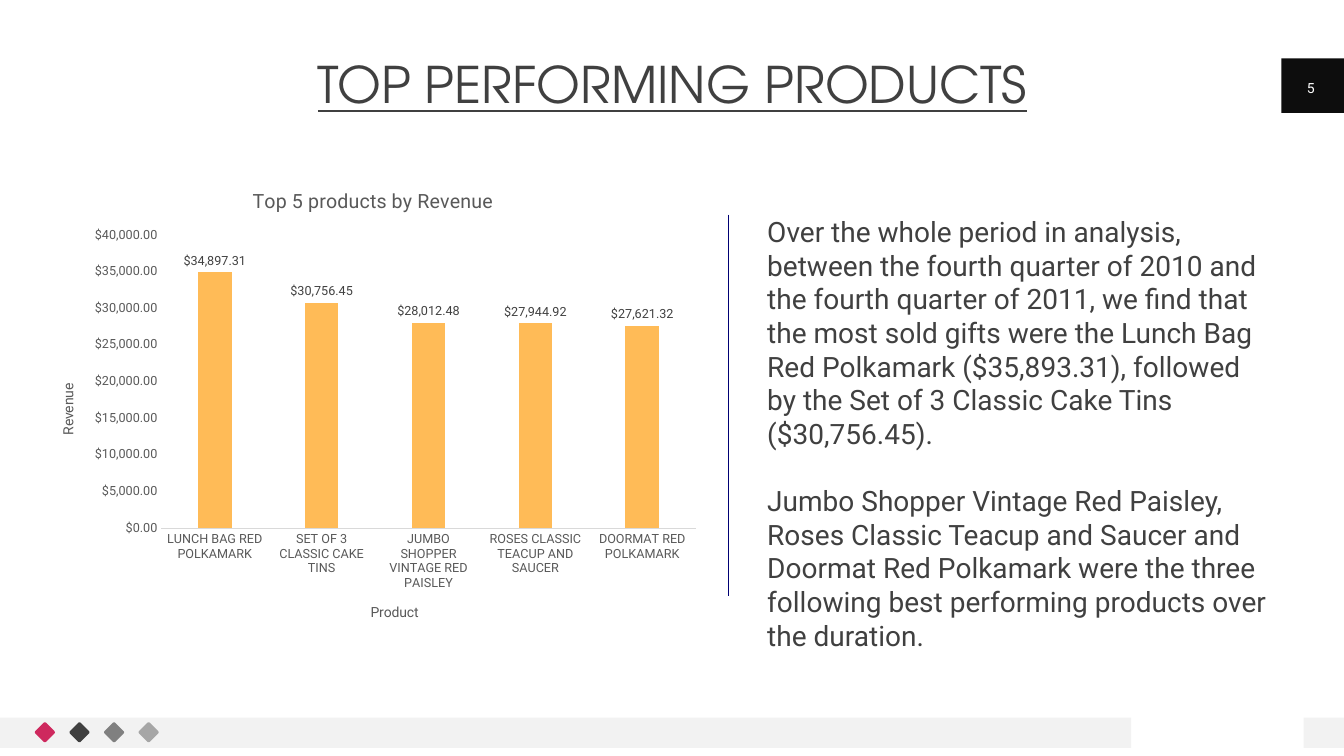
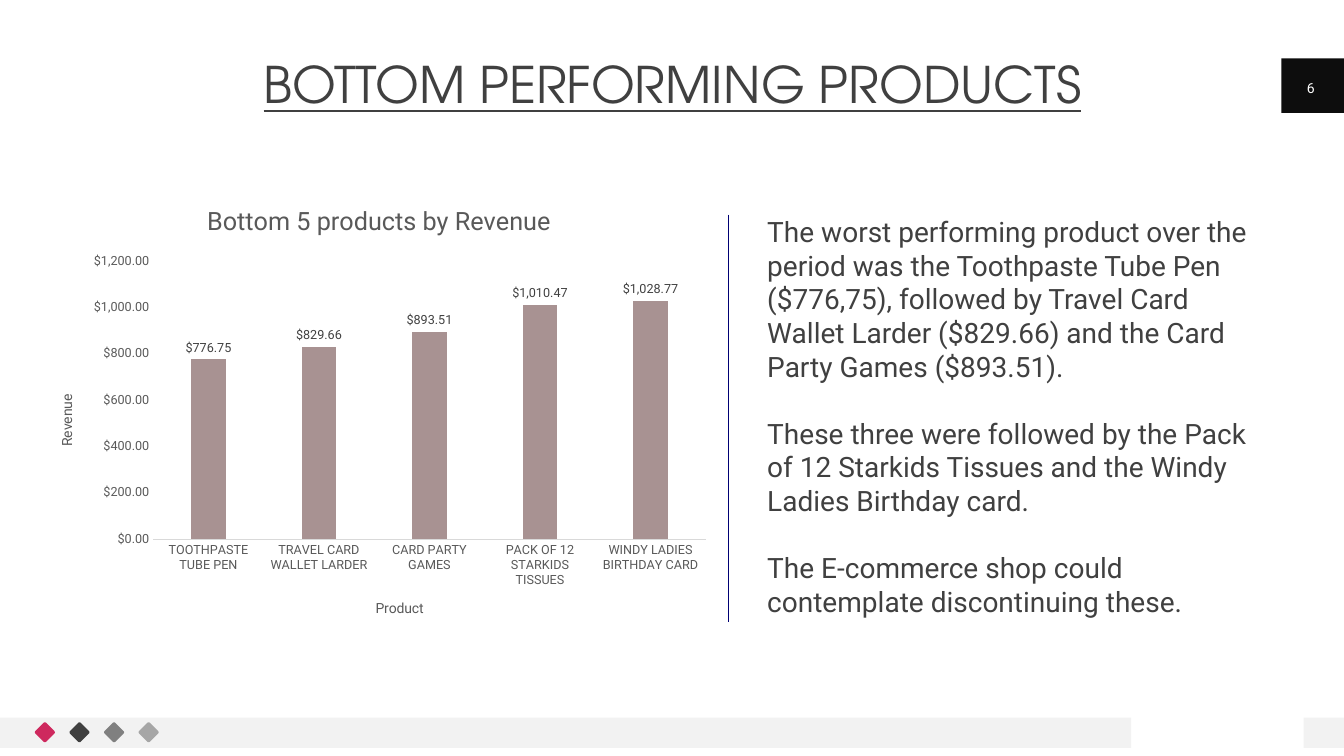
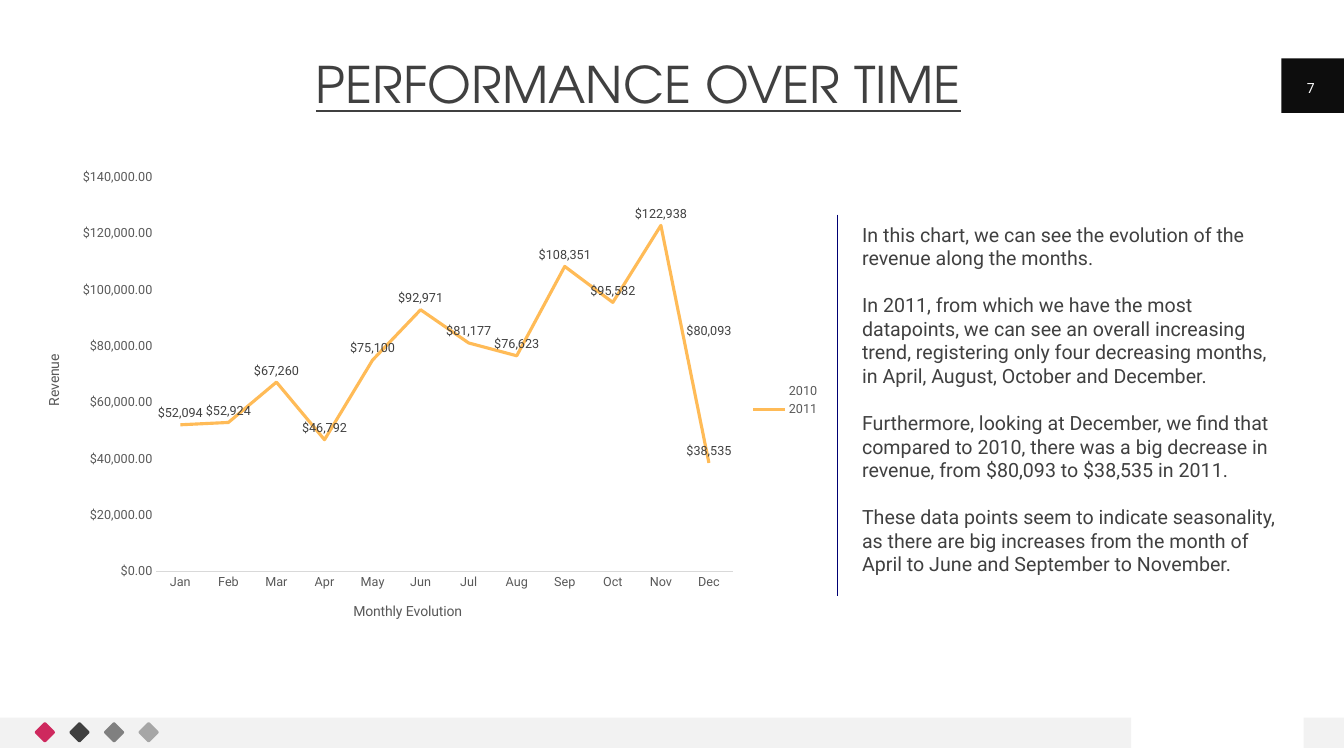
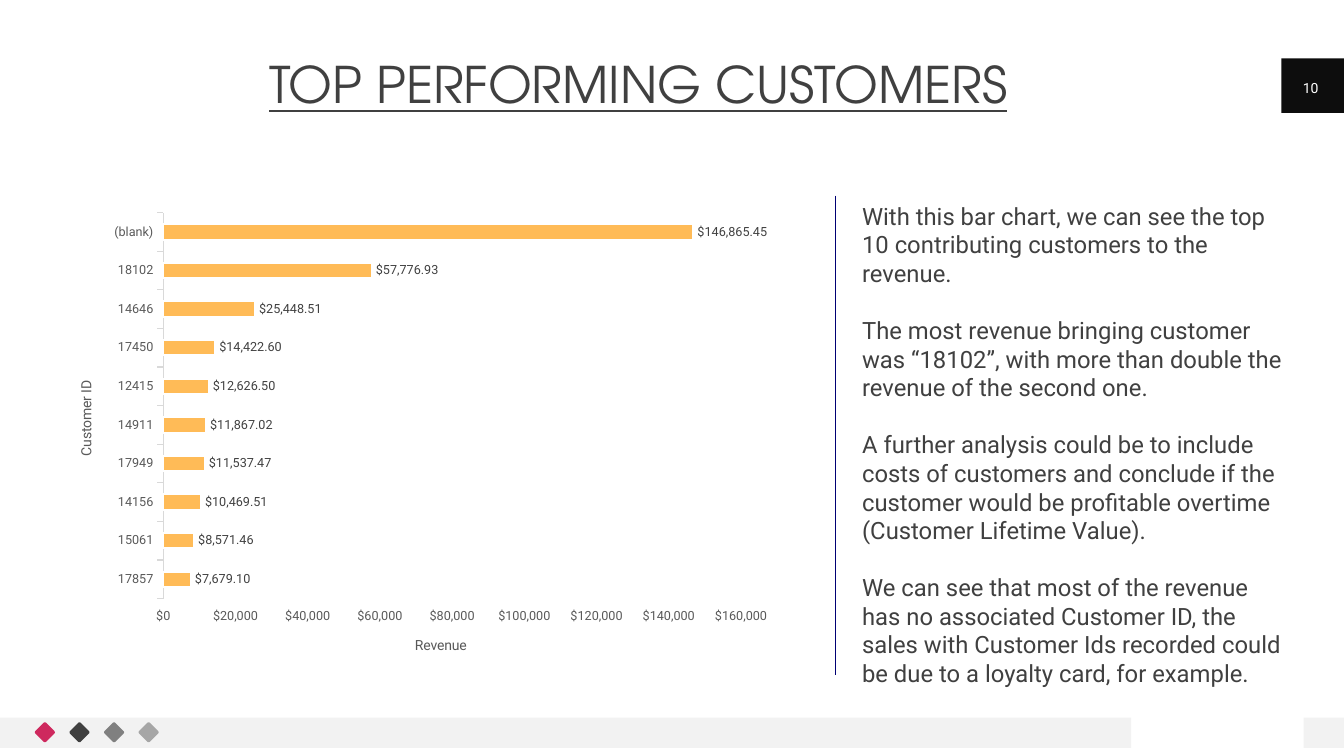
from dataclasses import dataclass
from typing import Optional

from lxml import etree
from pptx import Presentation
from pptx.chart.data import CategoryChartData
from pptx.dml.color import RGBColor
from pptx.enum.chart import (XL_CHART_TYPE, XL_LABEL_POSITION, XL_LEGEND_POSITION,
                             XL_MARKER_STYLE, XL_TICK_MARK)
from pptx.enum.shapes import MSO_CONNECTOR, MSO_SHAPE
from pptx.enum.text import MSO_ANCHOR, MSO_AUTO_SIZE, PP_ALIGN
from pptx.oxml.ns import qn
from pptx.util import Inches, Pt

COLUMN, BAR, LINE = (XL_CHART_TYPE.COLUMN_CLUSTERED, XL_CHART_TYPE.BAR_CLUSTERED,
                     XL_CHART_TYPE.LINE_MARKERS)
OUTSIDE, ABOVE = XL_LABEL_POSITION.OUTSIDE_END, XL_LABEL_POSITION.ABOVE
NO_TICK, TICK_OUT = XL_TICK_MARK.NONE, XL_TICK_MARK.OUTSIDE
LEGEND_RIGHT = XL_LEGEND_POSITION.RIGHT
CIRCLE, NO_MARKER = XL_MARKER_STYLE.CIRCLE, XL_MARKER_STYLE.NONE
RECTANGLE, ROUNDED = MSO_SHAPE.RECTANGLE, MSO_SHAPE.ROUNDED_RECTANGLE
STRAIGHT = MSO_CONNECTOR.STRAIGHT
CENTER, LEFT = PP_ALIGN.CENTER, PP_ALIGN.LEFT
MIDDLE, TOP = MSO_ANCHOR.MIDDLE, MSO_ANCHOR.TOP
GROW = MSO_AUTO_SIZE.SHAPE_TO_FIT_TEXT

COLORS = {
    "text": "404040", "axis": "595959", "axis_line": "D9D9D9", "divider": "000073",
    "band": "F2F2F2", "badge": "0D0D0D", "white": "FFFFFF", "pink": "CE295E",
    "gray": "808080", "silver": "A6A6A6", "orange": "FFBB57", "mauve": "A89292",
}
BODY_FONT, TITLE_FONT = "Roboto", "TeX Gyre Adventor"
LINE_HEIGHT = 1.2
DOLLARS, CENTS = '"$"#,##0', '"$"#,##0.00'

Area = tuple[float, float, float, float]
Place = tuple[float, float]


@dataclass(frozen=True)
class Series:
    name: str
    values: tuple[Optional[float], ...]
    color: str


@dataclass(frozen=True)
class ChartLabel:
    text: str
    place: Place
    size: int = 10


@dataclass(frozen=True)
class ChartPlan:
    kind: XL_CHART_TYPE
    area: Area
    plot: Area
    categories: tuple[str, ...]
    series: tuple[Series, ...]
    category_title: ChartLabel
    value_title: ChartLabel
    maximum: float
    step: float
    title: Optional[ChartLabel] = None
    axis_format: str = CENTS
    label_format: str = CENTS


@dataclass(frozen=True)
class PagePlan:
    number: int
    title: str
    title_area: Area
    body_area: Area
    body_size: int
    body: tuple[str, ...]
    divider: Area
    chart: ChartPlan


def rgb(name: str) -> RGBColor:
    return RGBColor.from_string(COLORS[name])


def set_font(font, size: float, color: str, name: str = BODY_FONT) -> None:
    font.name, font.size, font.bold = name, Pt(size), False
    font.color.rgb = rgb(color)


def add_box(page, area: Area, color: str, shape_kind=RECTANGLE):
    box = page.shapes.add_shape(shape_kind, *map(Inches, area))
    box.shadow.inherit = False
    box.fill.solid()
    box.fill.fore_color.rgb = rgb(color)
    box.line.fill.background()
    return box


def add_text(page, area: Area, texts: tuple[str, ...], size: float, color: str = "text",
             font: str = BODY_FONT, align=LEFT, anchor=TOP, gap: float = 0):
    frame = page.shapes.add_textbox(*map(Inches, area)).text_frame
    frame.word_wrap = True
    frame.vertical_anchor = anchor
    frame.margin_left = frame.margin_right = frame.margin_top = frame.margin_bottom = 0
    frame.text = "\n".join(texts)
    for paragraph in frame.paragraphs:
        paragraph.alignment = align
        set_font(paragraph.runs[0].font, size, color, font)
    for paragraph in frame.paragraphs[:-1]:
        paragraph.space_after = Pt(gap)
    return frame


def add_divider(page, ends: Area) -> None:
    line = page.shapes.add_connector(STRAIGHT, *map(Inches, ends))
    line.line.color.rgb = rgb("divider")
    line.line.width = Pt(0.5)
    etree.SubElement(line._element.spPr, qn("a:effectLst"))


def add_frame(page, plan: PagePlan) -> None:
    """Footer band, diamonds, page number and title."""
    for left, width in ((0, 11.22), (12.93, 0.4)):
        add_box(page, (left, 7.12, width, 0.3), "band")
    add_box(page, (12.71, 0.58, 0.62, 0.54), "badge")
    for index, color in enumerate(("pink", "text", "gray", "silver")):
        diamond = add_box(page, (0.37 + 0.343 * index, 7.19, 0.15, 0.15), color, ROUNDED)
        diamond.adjustments[0] = 0.11
        diamond.rotation = 45
    title = add_text(page, plan.title_area, (plan.title,), 36, font=TITLE_FONT, align=CENTER)
    title.auto_size = GROW
    title.paragraphs[0].line_spacing = 0.9
    title.paragraphs[0].runs[0].font.underline = True
    add_text(page, (12.77, 0.67, 0.46, 0.4), (str(plan.number),), 10, "white",
             align=CENTER, anchor=MIDDLE)


def set_layout(parent, index: int, settings: dict[str, object]) -> None:
    """Give a plot area or a chart title a fixed place."""
    for old in parent.findall(qn("c:layout")):
        parent.remove(old)
    layout = etree.Element(qn("c:layout"))
    manual = etree.SubElement(layout, qn("c:manualLayout"))
    for name, value in settings.items():
        etree.SubElement(manual, qn(f"c:{name}")).set("val", str(value))
    parent.insert(index, layout)


def fractions(place: Place, area: Area) -> dict[str, object]:
    return {"xMode": "edge", "yMode": "edge",
            "x": round((place[0] - area[0]) / area[2], 4),
            "y": round((place[1] - area[1]) / area[3], 4)}


def set_chart_title(title, label: ChartLabel, area: Area, upright: bool = False) -> None:
    title.text_frame.text = label.text
    set_font(title.text_frame.paragraphs[0].runs[0].font, label.size, "axis")
    if upright:
        body = title._element.find(".//" + qn("a:bodyPr"))
        body.set("rot", "-5400000")
        body.set("vert", "horz")
    set_layout(title._element, 1, fractions(label.place, area))


def style_series(series, plan: Series, chart_plan: ChartPlan) -> None:
    color = rgb(plan.color)
    if chart_plan.kind == LINE:
        series.smooth = False
        series.format.line.color.rgb = color
        series.format.line.width = Pt(2.25)
        series.marker.style = NO_MARKER
        if plan.color == "white":
            series.marker.style, series.marker.size = CIRCLE, 5
            series.marker.format.fill.solid()
            series.marker.format.fill.fore_color.rgb = color
            series.marker.format.line.fill.background()
    else:
        series.format.fill.solid()
        series.format.fill.fore_color.rgb = color
        series.invert_if_negative = False
    if chart_plan.kind == BAR:
        series.format.line.color.rgb = rgb("white")
        series.format.line.width = Pt(1.5)
    labels = series.data_labels
    labels.show_value = True
    labels.number_format, labels.number_format_is_linked = chart_plan.label_format, False
    labels.position = ABOVE if chart_plan.kind == LINE else OUTSIDE
    set_font(labels.font, 9, "text")


def add_plan_chart(page, plan: ChartPlan) -> None:
    data = CategoryChartData()
    data.categories = plan.categories
    for series in plan.series:
        data.add_series(series.name, series.values)
    chart = page.shapes.add_chart(plan.kind, *map(Inches, plan.area), data).chart
    chart.font.name, chart.font.size = BODY_FONT, Pt(10)

    # Titles and legend
    chart.has_title = plan.title is not None
    if plan.title:
        set_chart_title(chart.chart_title, plan.title, plan.area)
        chart.chart_title.include_in_layout = False
    chart.has_legend = plan.kind == LINE
    if chart.has_legend:
        chart.legend.position = LEGEND_RIGHT
        chart.legend.include_in_layout = False
        set_font(chart.legend.font, 9, "axis")

    # Axes
    category_axis, value_axis = chart.category_axis, chart.value_axis
    for axis, label in ((category_axis, plan.category_title), (value_axis, plan.value_title)):
        axis.has_major_gridlines = False
        axis.major_tick_mark = TICK_OUT if plan.kind == BAR else NO_TICK
        axis.minor_tick_mark = NO_TICK
        set_font(axis.tick_labels.font, 9, "axis")
        upright = (axis is category_axis) == (plan.kind == BAR)
        set_chart_title(axis.axis_title, label, plan.area, upright)
    category_axis.format.line.color.rgb = rgb("axis_line")
    category_axis.format.line.width = Pt(0.75)
    value_axis.format.line.fill.background()
    value_axis.minimum_scale, value_axis.maximum_scale = 0, plan.maximum
    value_axis.major_unit = plan.step
    value_axis.tick_labels.number_format = plan.axis_format
    value_axis.tick_labels.number_format_is_linked = False

    # Plot and series
    plot = chart.plots[0]
    plot.vary_by_categories = False
    if plan.kind == COLUMN:
        plot.gap_width, plot.overlap = 219, -27
    elif plan.kind == BAR:
        plot.gap_width = 150
    for series, series_plan in zip(plot.series, plan.series):
        style_series(series, series_plan, plan)
    place = fractions(plan.plot[:2], plan.area)
    size = {"w": round(plan.plot[2] / plan.area[2], 4), "h": round(plan.plot[3] / plan.area[3], 4)}
    plot_area = chart._chartSpace.find(".//" + qn("c:plotArea"))
    set_layout(plot_area, 0, {"layoutTarget": "inner", **place, **size})


def add_page(deck, plan: PagePlan) -> None:
    page = deck.slides.add_slide(deck.slide_layouts[6])
    add_frame(page, plan)
    body = add_text(page, plan.body_area, plan.body, plan.body_size,
                    gap=plan.body_size * LINE_HEIGHT)
    body.auto_size = GROW
    add_plan_chart(page, plan.chart)
    add_divider(page, plan.divider)


CENTERED_TITLE = (0.92, 0.59, 11.5, 0.55)
WIDE_TITLE = (0.24, 0.59, 12.18, 0.55)
PRODUCT_BODY = (7.61, 2.13, 4.96, 4.04)

PAGES = (
    PagePlan(
        5, "TOP PERFORMING PRODUCTS", CENTERED_TITLE, PRODUCT_BODY, 20,
        ("Over the whole period in analysis, between the fourth quarter of 2010 and the fourth "
         "quarter of 2011, we find that the most sold gifts were the Lunch Bag Red Polkamark "
         "($35,893.31), followed by the Set of 3 Classic Cake Tins ($30,756.45).",
         "Jumbo Shopper Vintage Red Paisley, Roses Classic Teacup and Saucer and Doormat Red "
         "Polkamark were the three following best performing products over the duration."),
        (7.22, 2.13, 7.22, 5.91),
        ChartPlan(
            COLUMN, (0.39, 1.68, 6.64, 4.68), (1.6, 2.33, 5.3, 2.91),
            ("LUNCH BAG RED POLKAMARK", "SET OF 3 CLASSIC CAKE TINS",
             "JUMBO SHOPPER VINTAGE RED PAISLEY", "ROSES CLASSIC TEACUP AND SAUCER",
             "DOORMAT RED POLKAMARK"),
            (Series("Series 1", (34897.31, 30756.45, 28012.48, 27944.92, 27621.32), "orange"),),
            ChartLabel("Product", (3.65, 5.96)), ChartLabel("Revenue", (0.56, 3.78)),
            40000, 5000, ChartLabel("Top 5 products by Revenue", (2.47, 1.82), 14))),
    PagePlan(
        6, "BOTTOM PERFORMING PRODUCTS", CENTERED_TITLE, PRODUCT_BODY, 20,
        ("The worst performing product over the period was the Toothpaste Tube Pen ($776,75), "
         "followed by Travel Card Wallet Larder ($829.66) and the Card Party Games ($893.51).",
         "These three were followed by the Pack of 12 Starkids Tissues and the Windy Ladies "
         "Birthday card.",
         "The E-commerce shop could contemplate discontinuing these."),
        (7.22, 2.13, 7.22, 6.17),
        ChartPlan(
            COLUMN, (0.38, 1.84, 6.76, 4.48), (1.52, 2.59, 5.48, 2.76),
            ("TOOTHPASTE TUBE PEN", "TRAVEL CARD WALLET LARDER", "CARD PARTY GAMES",
             "PACK OF 12 STARKIDS TISSUES", "WINDY LADIES BIRTHDAY CARD"),
            (Series("Series 1", (776.75, 829.66, 893.51, 1010.47, 1028.77), "mauve"),),
            ChartLabel("Product", (3.7, 5.92)), ChartLabel("Revenue", (0.55, 3.89)),
            1200, 200, ChartLabel("Bottom 5 products by Revenue", (2.01, 1.98), 18))),
    PagePlan(
        7, "PERFORMANCE OVER TIME", WIDE_TITLE, (8.55, 2.21, 4.18, 3.53), 14,
        ("In this chart, we can see the evolution of the revenue along the months.",
         "In 2011, from which we have the most datapoints, we can see an overall increasing "
         "trend, registering only four decreasing months, in April, August, October and "
         "December.",
         "Furthermore, looking at December, we find that compared to 2010, there was a big "
         "decrease in revenue, from $80,093 to $38,535 in 2011.",
         "These data points seem to indicate seasonality, as there are big increases from the "
         "month of April to June and September to November."),
        (8.31, 2.13, 8.31, 5.91),
        ChartPlan(
            LINE, (0.24, 1.59, 7.99, 4.76), (1.55, 1.76, 5.72, 3.91),
            ("Jan", "Feb", "Mar", "Apr", "May", "Jun",
             "Jul", "Aug", "Sep", "Oct", "Nov", "Dec"),
            (Series("2010", (None,) * 11 + (80093,), "white"),
             Series("2011", (52094, 52924, 67260, 46792, 75100, 92971,
                             81177, 76623, 108351, 95582, 122938, 38535), "orange")),
            ChartLabel("Monthly Evolution", (3.48, 5.95)), ChartLabel("Revenue", (0.42, 3.49)),
            140000, 20000, label_format=DOLLARS)),
    PagePlan(
        10, "TOP PERFORMING CUSTOMERS", WIDE_TITLE, (8.55, 2, 4.18, 4.58), 17,
        ("With this bar chart, we can see the top 10 contributing customers to the revenue.",
         "The most revenue bringing customer was “18102”, with more than double the revenue of "
         "the second one.",
         "A further analysis could be to include costs of customers and conclude if the "
         "customer would be profitable overtime (Customer Lifetime Value).",
         "We can see that most of the revenue has no associated Customer ID, the sales with "
         "Customer Ids recorded could be due to a loyalty card, for example."),
        (8.29, 1.94, 8.29, 6.7),
        ChartPlan(
            BAR, (0.7, 1.87, 7.08, 4.76), (1.62, 2.11, 5.73, 3.83),
            ("17857", "15061", "14156", "17949", "14911",
             "12415", "17450", "14646", "18102", "(blank)"),
            (Series("Series 1", (7679.1, 8571.46, 10469.51, 11537.47, 11867.02,
                                 12626.5, 14422.6, 25448.51, 57776.93, 146865.45), "orange"),),
            ChartLabel("Customer ID", (0.74, 3.75)), ChartLabel("Revenue", (4.09, 6.29)),
            160000, 20000, axis_format=DOLLARS)),
)


def main() -> None:
    deck = Presentation()
    deck.slide_width, deck.slide_height = Inches(13.33), Inches(7.5)
    for plan in PAGES:
        add_page(deck, plan)
    deck.save("out.pptx")


if __name__ == "__main__":
    main()
